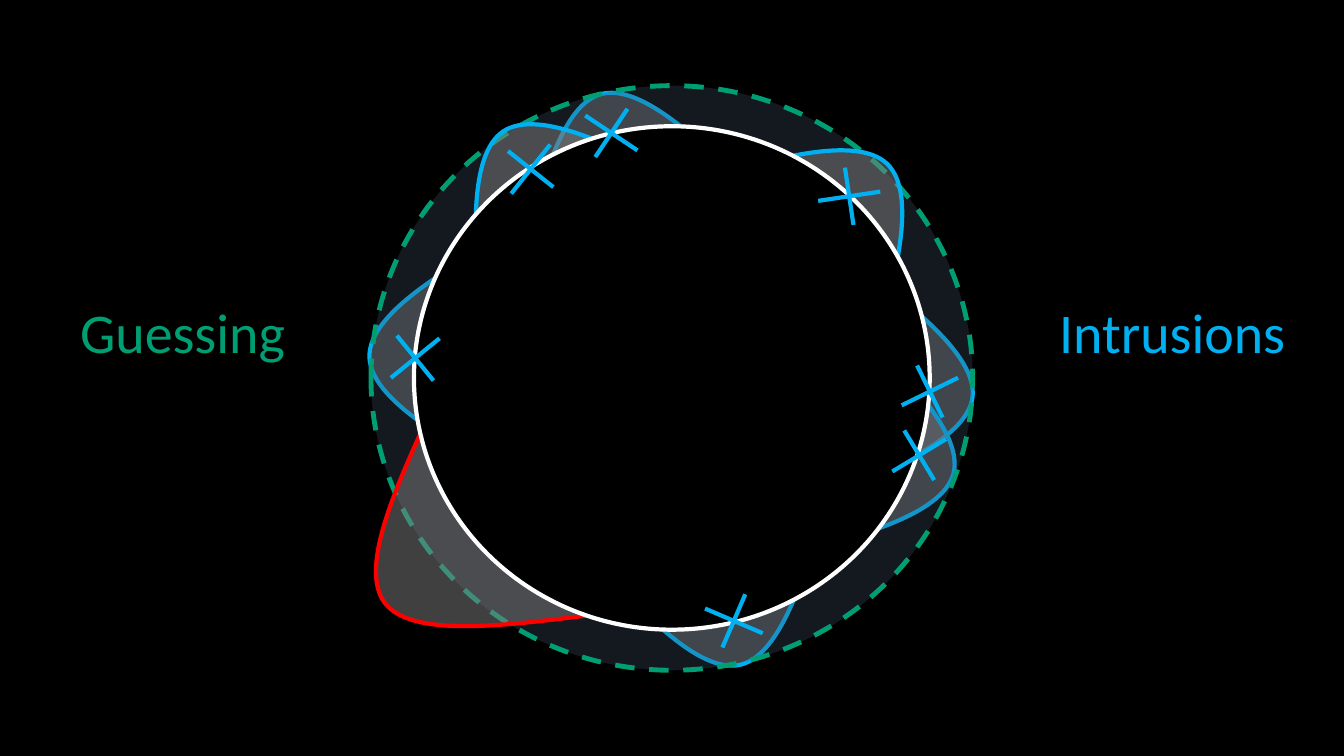
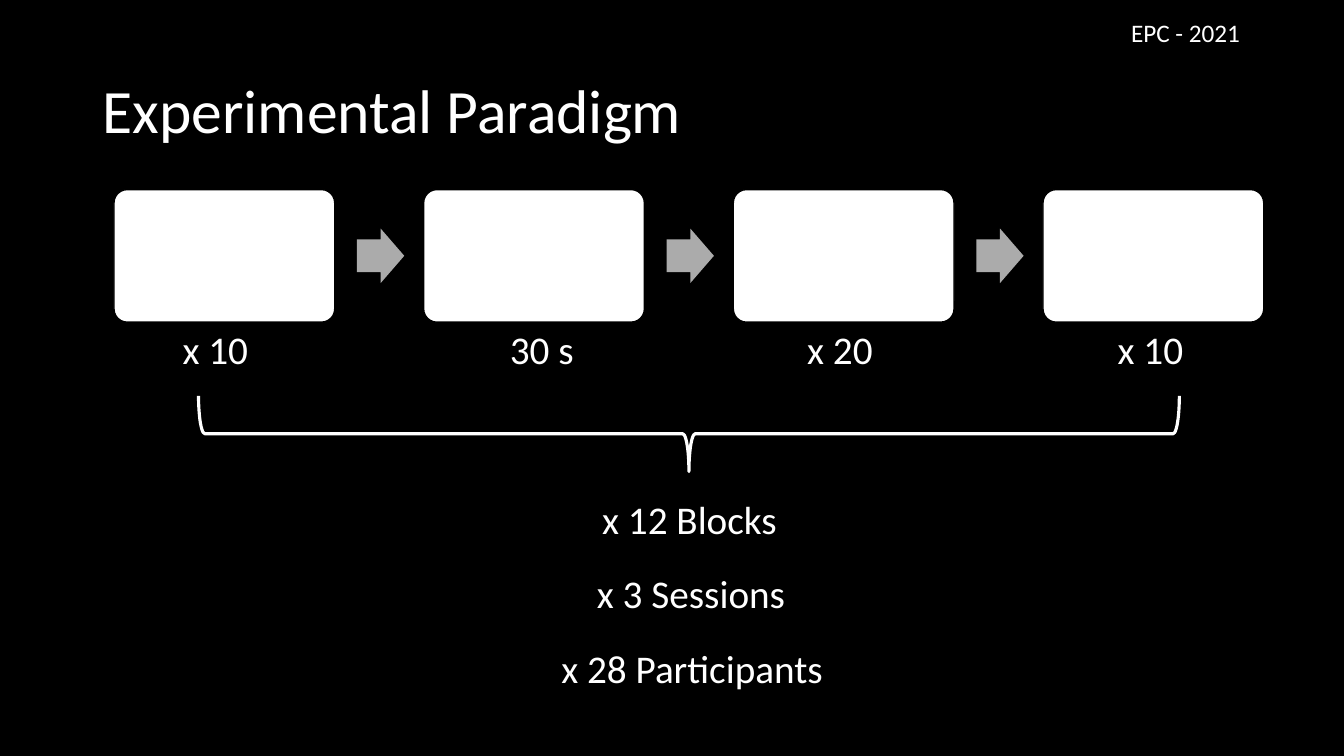
from math import cos, radians, sin

from pptx import Presentation
from pptx.dml.color import RGBColor as Rgb
from pptx.enum.dml import MSO_LINE as Dash
from pptx.enum.shapes import MSO_CONNECTOR as Link, MSO_SHAPE as Kind
from pptx.enum.text import MSO_ANCHOR as Anchor, MSO_AUTO_SIZE as Fit, PP_ALIGN as Align
from pptx.oxml.ns import qn
from pptx.util import Pt
from lxml.etree import SubElement as Sub

HUES = {
    "black": "000000",
    "white": "FFFFFF",
    "blue": "00B0F0",
    "green": "009E73",
    "red": "FF0000",
    "gray": "808080",
    "slate": "44546A",
    "silver": "ABABAB",
}
FONT = "Calibri"

BELL = [
    (0, 112.3), (30.2, 56.9), (60.5, 1.4), (91.4, 0.4),
    (122.4, 0), (153.4, 54), (184.3, 108),
]
BACK = [
    (-37.5, 136.8, 270),
    (282.2, 159.1, 98.2),
    (270, 206.6, 105.3),
    (159.1, 303.1, 167.5),
    (87.1, 3.6, 344.6),
]
FRONT = [(237.6, 39.6, 45.1), (33.1, 23, 327)]
GUESS = (-37.5, 280.1, 234.4)
MARKS = [
    (114.1, 59.6, 128.5),
    (341.6, 79, 171.6),
    (31.6, 194.6, 140.9),
    (171.7, 33.8, 213.7),
    (399.2, 218.5, 153.9),
    (391.6, 264, 148.9),
    (259.2, 382.3, 203.2),
]


def hue(name):
    return Rgb.from_string(HUES[name])


def pts(*nums):
    return [Pt(num) for num in nums]


def paint(shape, fill=None, line=None, width=3, alpha=100):
    shape.shadow.inherit = False
    if fill:
        shape.fill.solid()
        shape.fill.fore_color.rgb = hue(fill)
        if alpha < 100:
            tint = shape.fill._xPr.find(".//" + qn("a:srgbClr"))
            Sub(tint, qn("a:alpha")).set("val", str(alpha * 1000))
    else:
        shape.fill.background()
    if line:
        shape.line.color.rgb = hue(line)
        shape.line.width = Pt(width)
    else:
        shape.line.fill.background()
    return shape


def write(para, text, size, color):
    run = para.add_run()
    run.text = text
    run.font.name = FONT
    run.font.size = Pt(size)
    run.font.color.rgb = hue(color)


def label(slide, box, text, size, color="white", align=Align.LEFT):
    frame = slide.shapes.add_textbox(*pts(*box)).text_frame
    frame.word_wrap = False
    frame.auto_size = Fit.SHAPE_TO_FIT_TEXT
    para = frame.paragraphs[0]
    para.alignment = align
    write(para, text, size, color)


def title(slide, box, text):
    shape = slide.shapes.title
    shape.left, shape.top, shape.width, shape.height = pts(*box)
    frame = shape.text_frame
    frame.auto_size = Fit.NONE
    frame.word_wrap = True
    frame.vertical_anchor = Anchor.MIDDLE
    para = frame.paragraphs[0]
    para.alignment = Align.LEFT
    para.line_spacing = 0.9
    write(para, text, 44, "white")


def bend(shape):
    trace = shape._element.find(".//" + qn("a:path"))
    legs = trace.findall(qn("a:lnTo"))
    for start in range(0, len(legs), 3):
        curve = Sub(trace, qn("a:cubicBezTo"))
        for leg in legs[start:start + 3]:
            curve.append(leg[0])
            trace.remove(leg)


def peak(slide, left, top, turn, color="blue"):
    dots = [pts(*dot) for dot in BELL]
    pen = slide.shapes.build_freeform(*dots[0])
    pen.add_line_segments(dots[1:], close=False)
    shape = pen.convert_to_shape(*pts(left, top))
    bend(shape)
    shape.rotation = turn
    paint(shape, "gray", color, alpha=50)


def cross(slide, x, y, turn):
    group = slide.shapes.add_group_shape()
    for half, angle in ((22.4, turn), (20.7, turn - 90)):
        dx, dy = half * cos(radians(angle)), half * sin(radians(angle))
        arm = group.shapes.add_connector(
            Link.STRAIGHT, *pts(x - dx, y - dy, x + dx, y + dy))
        arm.line.color.rgb = hue("blue")
        arm.line.width = Pt(3)
        Sub(arm._element.spPr, qn("a:effectLst"))


def wheel(slide, box):
    left, top, wide, high = box

    def peaks(spots, color="blue"):
        for x, y, turn in spots:
            peak(slide, left + x, top + y, turn, color)

    peaks(BACK)
    disc = slide.shapes.add_shape(Kind.OVAL, *pts(*box))
    paint(disc, "slate", "green", 3.5, 30)
    disc.line.dash_style = Dash.DASH
    peaks(FRONT)
    peaks([GUESS], "red")
    dx, dy = 30.7, 29
    core = slide.shapes.add_shape(
        Kind.OVAL, *pts(left + dx, top + dy, wide - 2 * dx, high - 2 * dy))
    paint(core, "black", "white")
    for x, y, turn in MARKS:
        cross(slide, left + x, top + y, turn)


def flow(slide, box, count):
    left, top, wide, high = box
    card = 157.7
    pitch = (wide - card) / (count - 1)
    group = slide.shapes.add_group_shape().shapes
    for num in range(count):
        x = left + num * pitch
        tile = group.add_shape(Kind.ROUNDED_RECTANGLE, *pts(x, top, card, high))
        tile.adjustments[0] = 0.1
        paint(tile, "white", "black", 1)
        if num < count - 1:
            tip = group.add_shape(
                Kind.RIGHT_ARROW, *pts(x + 173.6, top + (high - 39) / 2, 33.8, 39))
            tip.adjustments[0] = 0.6
            tip.adjustments[1] = 0.5
            paint(tip, "silver")


def brace(slide, box):
    left, top, wide, high = box
    shape = slide.shapes.add_shape(
        Kind.RIGHT_BRACE,
        *pts(left + (wide - high) / 2, top + (high - wide) / 2, high, wide))
    shape.rotation = 90
    paint(shape, line="white", width=2.25)


def totals(slide, box, rows):
    left, top, wide, high = box
    for num, (inset, width, text) in enumerate(rows):
        spot = (left + inset, top + num * high / len(rows), width, 41)
        label(slide, spot, text, 28, align=Align.CENTER)


def model(deck):
    slide = deck.slides.add_slide(deck.slide_layouts[6])
    wheel(slide, (265, 61.2, 429.8, 417.6))
    label(slide, (749.5, 209.2, 177.8, 55.4), "Intrusions", 40, "blue")
    label(slide, (50.2, 209.2, 162, 55.4), "Guessing", 40, "green")


def design(deck):
    slide = deck.slides.add_slide(deck.slide_layouts[5])
    title(slide, (66.1, 28.8, 828, 104.4), "Experimental Paradigm")
    flow(slide, (81.4, 135.4, 821.3, 94.7), 4)
    steps = ((123.3, "x 10"), (357.1, "30 s"), (569.5, "x 20"), (791.3, "x 10"))
    for left, text in steps:
        label(slide, (left, 229, 61.9, 41), text, 28)
    brace(slide, (141.8, 282.8, 700.6, 54))
    totals(slide, (392.4, 349.9, 203.8, 160.2), (
        (29.5, 141.1, "x 12 Blocks"),
        (25.9, 150.5, "x 3 Sessions"),
        (0, 203.8, "x 28 Participants"),
    ))
    label(slide, (800.8, 8.6, 92.9, 28.8), "EPC - 2021", 18)


def main():
    deck = Presentation()
    deck.slide_width, deck.slide_height = pts(960, 540)
    ground = deck.slide_master.background.fill
    ground.solid()
    ground.fore_color.rgb = hue("black")
    model(deck)
    design(deck)
    deck.save("out.pptx")


if __name__ == "__main__":
    main()
